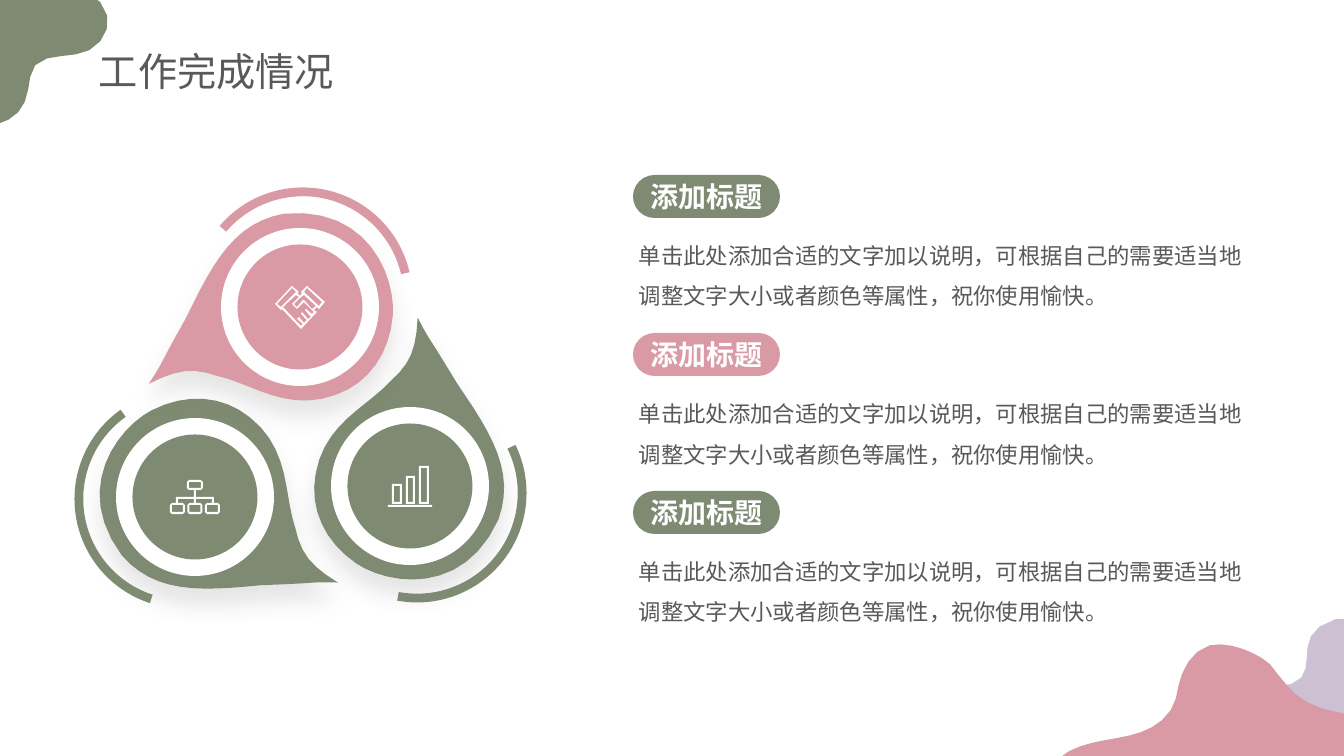
import math

from lxml import etree
from pptx import Presentation
from pptx import util as u
from pptx.dml.color import RGBColor
from pptx.enum import shapes, text
from pptx.oxml import ns

SCALE = 12192000 / 1344  # EMU in one px
COLOURS = {"green": "7E8A72", "pink": "DA9AA5", "lavender": "CDC0D2",
           "grey": "595959", "white": "FFFFFF", "shadow": "808080"}

# Outlines in px: a start point, then lines (2 numbers) or curves (6 numbers)
TEARDROP = [
    (97, -51), (141, 22, 88, 77, 53, 91), (17, 105, -19, 99, -44, 74),
    (-81, 38, -70, -6, -78, -40), (-81, -67, -90, -80, -115, -99),
    (-83, -95, -100, -98, -38, -94), (25, -94, 68, -91, 97, -51)]
CORNER_BLOB = [
    (59, 55), (50, 56, 41, 57, 34, 64), (29, 71, 28, 80, 27, 88),
    (25, 97, 23, 105, 17, 111), (11, 117, 4, 121, -4, 123),
    (-17, 123), (-23, 118), (-40, 110, -54, 95, -62, 78),
    (-67, 69, -70, 59, -70, 50), (-69, 40, -65, 32, -56, 27),
    (-49, 22, -40, 19, -36, 10), (-33, 1, -33, -9, -31, -18),
    (-28, -26, -23, -34, -14, -36), (-6, -38, 3, -36, 10, -31),
    (18, -26, 24, -18, 32, -12), (39, -7, 46, -5, 54, -7),
    (70, -9, 86, -14, 99, 1), (114, 18, 105, 40, 88, 49),
    (80, 53, 70, 54, 59, 55)]
LAVENDER_BLOB = [
    (1356, 761), (1213, 761), (1250, 752, 1213, 692, 1273, 687),
    (1336, 684, 1279, 636, 1336, 619), (1356, 619)]
PINK_WAVE = [
    (1041, 820), (1033, 793, 1045, 764, 1069, 751),
    (1099, 735, 1137, 742, 1162, 720), (1169, 714, 1174, 706, 1176, 698),
    (1178, 689, 1179, 681, 1182, 674), (1187, 661, 1196, 649, 1210, 645),
    (1224, 642, 1241, 647, 1253, 653), (1259, 656, 1265, 659, 1270, 664),
    (1276, 671, 1281, 679, 1287, 685), (1299, 700, 1315, 707, 1333, 711),
    (1348, 714, 1362, 717, 1373, 727), (1383, 737, 1389, 750, 1388, 765),
    (1387, 777, 1381, 789, 1370, 795), (1357, 802, 1341, 801, 1328, 798),
    (1311, 795, 1295, 789, 1278, 792), (1260, 794, 1247, 804, 1234, 816),
    (1222, 828, 1210, 839, 1193, 840), (1178, 841, 1166, 835, 1155, 826),
    (1143, 814, 1131, 804, 1114, 804), (1106, 804, 1098, 806, 1092, 810),
    (1081, 822), (1078, 832), (1074, 842, 1059, 843, 1051, 837),
    (1046, 833, 1043, 827, 1041, 820)]
HANDSHAKE = [
    [(319, 309), (325, 302), (307, 286), (301, 292), (302, 293), (300, 296),
     (297, 293), (299, 292), (292, 286), (275, 304), (281, 310), (282, 309),
     (301, 329), (317, 312), (314, 310), (317, 307)],
    [(277, 304), (292, 288), (296, 292), (281, 307)],
    [(312, 314), (306, 309), (305, 310), (311, 317), (308, 319), (302, 312),
     (301, 314), (307, 320), (304, 323), (299, 317), (297, 319), (303, 324),
     (301, 326), (283, 307), (296, 295), (299, 297), (292, 304), (297, 309),
     (304, 302), (314, 312)],
    [(312, 309), (304, 300), (303, 300), (297, 307), (294, 304), (300, 298),
     (304, 295), (316, 306)],
    [(307, 288), (322, 302), (319, 306), (304, 292)]]

# Colour, then centres of teardrop, circles and arc, then their turns
MODULES = [("green", (402, 468), (410, 486), (417, 493), 55.4, 85.5),
           ("green", (215, 496), (195, 497), (184, 499), 174.3, 219.7),
           ("pink", (288, 324), (300, 307), (303, 297), 295.7, 332)]
BODY = "单击此处添加合适的文字加以说明，可根据自己的需要适当地调整文字大小或者颜色等属性，祝你使用愉快。"


def px(length):
    return u.Emu(round(length * SCALE))


def rgb(name):
    return RGBColor.from_string(COLOURS[name])


def paint(shape, colour):
    shape.shadow.inherit = False
    shape.fill.solid()
    shape.fill.fore_color.rgb = rgb(colour)
    shape.line.fill.background()
    return shape


def flatten(outline):
    """Turn lines and Bezier curves into points about 12 px apart."""
    points = [outline[0]]
    for part in outline[1:]:
        if len(part) == 2:
            points.append(part)
            continue
        knots = [points[-1], part[:2], part[2:4], part[4:]]
        steps = max(2, round(math.dist(knots[0], knots[3]) / 12))
        for step in range(1, steps + 1):
            t = step / steps
            weights = [math.comb(3, i) * t**i * (1 - t)**(3 - i) for i in range(4)]
            points.append(tuple(sum(w * k[axis] for w, k in zip(weights, knots))
                                for axis in (0, 1)))
    return points


def turned(points, centre, degrees):
    cos, sin = math.cos(math.radians(degrees)), math.sin(math.radians(degrees))
    cx, cy = centre
    return [(cx + (x - cx) * cos - (y - cy) * sin,
             cy + (x - cx) * sin + (y - cy) * cos) for x, y in points]


def add_outline(page, contours, colour, turn=0):
    builder = None
    for contour in contours:
        start, *rest = [(px(x), px(y)) for x, y in contour]
        if builder is None:
            builder = page.shapes.build_freeform(*start, scale=1.0)
        else:
            builder.move_to(*start)
        builder.add_line_segments(rest, close=True)
    shape = paint(builder.convert_to_shape(), colour)
    shape.rotation = turn
    return shape


def add_blob(page, outline, colour, centre=(0, 0), turn=0):
    add_outline(page, [turned(flatten(outline), centre, -turn)], colour, turn)


def add_preset(page, kind, left, top, width, height, colour):
    return paint(page.shapes.add_shape(kind, px(left), px(top), px(width), px(height)), colour)


def add_round(page, kind, centre, size, colour):
    x, y = centre
    return add_preset(page, kind, x - size / 2, y - size / 2, size, size, colour)


def add_soft_shadow(shape):
    effects = shape._element.spPr.find(ns.qn("a:effectLst"))
    shadow = etree.SubElement(effects, ns.qn("a:outerShdw"), blurRad=str(u.Pt(16)),
                              dist=str(u.Pt(12)), dir="5400000", algn="t", rotWithShape="0")
    tint = etree.SubElement(shadow, ns.qn("a:srgbClr"), val=COLOURS["shadow"])
    etree.SubElement(tint, ns.qn("a:alpha"), val="20000")


def add_module(page, colour, drop_at, disc_at, arc_at, drop_turn, arc_turn):
    dx, dy = drop_at
    drop = [(x + dx, y + dy) for x, y in flatten(TEARDROP)]
    add_soft_shadow(add_outline(page, [drop], colour, drop_turn))
    for size, tone in ((158, "white"), (125, colour)):
        add_round(page, shapes.MSO_SHAPE.FLOWCHART_CONNECTOR, disc_at, size, tone)
    arc = add_round(page, shapes.MSO_SHAPE.BLOCK_ARC, arc_at, 219, colour)
    arc.rotation = arc_turn
    for index, value in enumerate((149.07, 8.96, 0.04)):
        arc.adjustments[index] = value


def rectangle(left, top, right, bottom, cut=0):
    if not cut:
        return [(left, top), (right, top), (right, bottom), (left, bottom)]
    return [(left + cut, top), (right - cut, top), (right, top + cut), (right, bottom - cut),
            (right - cut, bottom), (left + cut, bottom), (left, bottom - cut), (left, top + cut)]


def ring(left, top, right, bottom, cut=0):
    return [rectangle(left, top, right, bottom, cut),
            rectangle(left + 2, top + 2, right - 2, bottom - 2)]


def add_icons(page):
    bars = [(392, 484, 402), (406, 476, 415), (419, 466, 429)]
    chart = [edge for l, t, r in bars for edge in ring(l, t, r, 504)]
    add_outline(page, chart + [rectangle(388, 505, 432, 507)], "white")
    boxes = [(187, 480, 203, 490)] + [(l, 503, l + 15, 514) for l in (170, 187.5, 205)]
    stems = [(194, 490, 196, 497), (176, 497, 214, 499)]
    stems += [(l, 499, l + 2, 503) for l in (176, 194, 212)]
    tree = [edge for box in boxes for edge in ring(*box, cut=2)]
    add_outline(page, tree + [rectangle(*stem) for stem in stems], "white")
    add_outline(page, HANDSHAKE, "white")


def write(shape, words, colour, font, para_format):
    shape.text_frame.word_wrap = True
    para = shape.text_frame.paragraphs[0]
    span = para.add_run()
    span.text = words
    for target, values in ((span.font, {"name": "Arial", **font}), (para, para_format)):
        for name, value in values.items():
            setattr(target, name, value)
    span.font.color.rgb = rgb(colour)


def add_text(page, left, top, width, height, words, size, para_format):
    box = page.shapes.add_textbox(px(left), px(top), px(width), px(height))
    write(box, words, "grey", {"size": u.Pt(size)}, para_format)
    box.text_frame.auto_size = text.MSO_AUTO_SIZE.SHAPE_TO_FIT_TEXT


def add_section(page, top, colour):
    add_text(page, 629, top + 49, 625, 87, BODY, 16, {"line_spacing": 1.5})
    badge = add_preset(page, shapes.MSO_SHAPE.ROUNDED_RECTANGLE, 633, top, 147, 43, colour)
    badge.adjustments[0] = 0.5
    badge.text_frame.vertical_anchor = text.MSO_ANCHOR.MIDDLE
    write(badge, "添加标题", "white", {"size": u.Pt(20), "bold": True},
          {"alignment": text.PP_ALIGN.CENTER})


def main():
    deck = Presentation()
    deck.slide_width, deck.slide_height = px(1344), px(756)
    page = deck.slides.add_slide(deck.slide_layouts[6])
    # Corner decoration and title
    add_blob(page, CORNER_BLOB, "green", (10, 37), 221.8)
    add_blob(page, LAVENDER_BLOB, "lavender")
    add_blob(page, PINK_WAVE, "pink", (1210, 780), 320.4)
    add_text(page, 89, 42, 305, 57, "工作完成情况", 28, {})
    # Ring of three teardrops
    for module in MODULES:
        add_module(page, *module)
    add_icons(page)
    # Text sections
    for row, colour in enumerate(("green", "pink", "green")):
        add_section(page, 175 + 158 * row, colour)
    deck.save("out.pptx")


if __name__ == "__main__":
    main()
